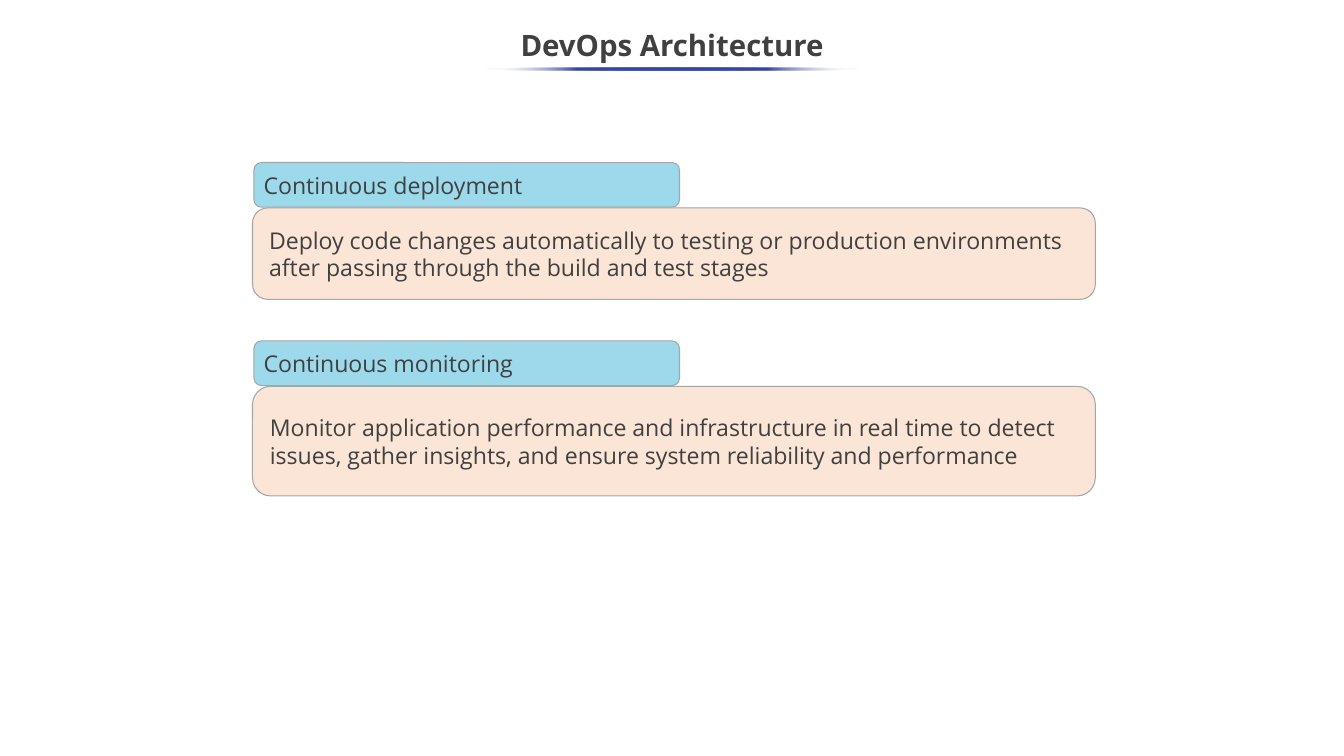
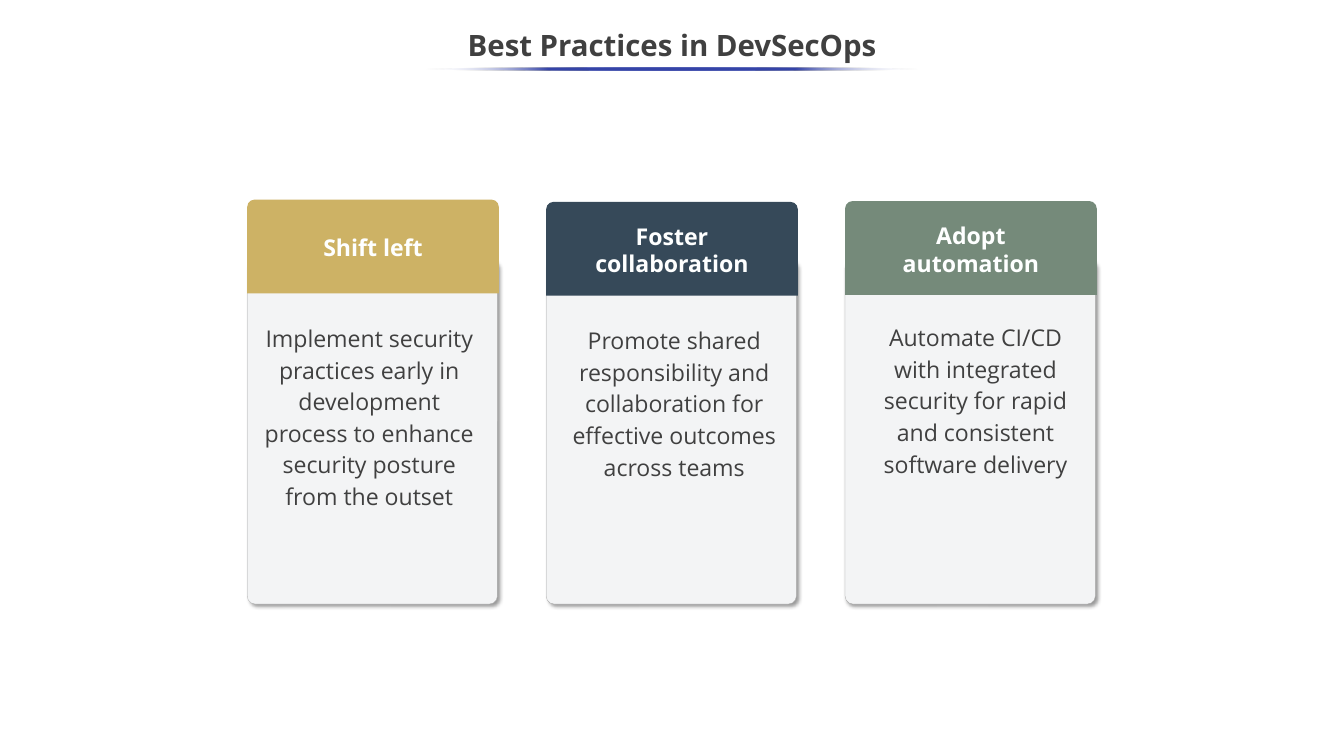
from lxml.etree import SubElement
from pptx import Presentation
from pptx.dml.color import RGBColor
from pptx.enum.shapes import MSO_SHAPE
from pptx.enum.text import MSO_ANCHOR, PP_ALIGN
from pptx.oxml.ns import qn
from pptx.util import Inches, Pt

COLORS = {
    "text": "404040", "light": "FEFFFF", "white": "FFFFFF", "rule": "3645A9",
    "border": "A6A6A6", "tab": "9CDAEB", "panel": "FBE5D6", "card": "F3F4F5",
    "gold": "CDB265", "navy": "364959", "sage": "758A7A", "shadow": "000000",
}
FONT = "Open Sans"
SLIDE_WIDTH, SLIDE_HEIGHT = 17.78, 10

STAGES = [
    (2.15, 1.21, "Continuous deployment",
     ["Deploy code changes automatically to testing or production environments",
      "after passing through the build and test stages"]),
    (4.51, 1.45, "Continuous monitoring",
     ["Monitor application performance and infrastructure in real time to detect",
      "issues, gather insights, and ensure system reliability and performance"]),
]
PRACTICES = [
    ("gold", 2.64, ["Shift left"], 0.03, 4.19,
     "Implement security practices early in development process "
     "to enhance security posture from the outset"),
    ("navy", 2.67, ["Foster", "collaboration"], 0.11, 4.22,
     "Promote shared responsibility and collaboration for effective outcomes across teams"),
    ("sage", 2.66, ["Adopt", "automation"], 0.14, 4.18,
     "Automate CI/CD with integrated security for rapid and consistent software delivery"),
]


def color(name):
    """Return the named palette colour."""
    return RGBColor.from_string(COLORS[name])


def write(box, lines, size=22, ink="text", bold=False, align=PP_ALIGN.LEFT,
          anchor=MSO_ANCHOR.MIDDLE, spacing=None, margins=(0.1, 0.05, 0.1, 0.05)):
    """Fill a box with one paragraph for each line."""
    frame = box.text_frame
    frame.word_wrap = True
    frame.vertical_anchor = anchor
    (frame.margin_left, frame.margin_top,
     frame.margin_right, frame.margin_bottom) = map(Inches, margins)
    for index, line in enumerate(lines):
        para = frame.add_paragraph() if index else frame.paragraphs[0]
        para.alignment = align
        para.line_spacing = spacing
        span = para.add_run()
        span.text = line
        span.font.name, span.font.size, span.font.bold = FONT, Pt(size), bold
        span.font.color.rgb = color(ink)


def add_box(page, left, top, width, height):
    """Add an empty text box."""
    return page.shapes.add_textbox(*map(Inches, (left, top, width, height)))


def add_form(page, kind, left, top, width, height, fill, line_width=0, corner=None):
    """Add a flat preset shape with an optional border."""
    form = page.shapes.add_shape(kind, *map(Inches, (left, top, width, height)))
    form.shadow.inherit = False
    form.fill.solid()
    form.fill.fore_color.rgb = color(fill)
    if line_width:
        form.line.color.rgb = color("border")
        form.line.width = Pt(line_width)
    else:
        form.line.fill.background()
    if corner is not None:
        form.adjustments[0] = corner
    return form


def add_color(parent, name, alpha):
    """Add a colour element with its opacity in percent."""
    tint = SubElement(parent, qn("a:srgbClr"), val=COLORS[name])
    SubElement(tint, qn("a:alpha"), val=str(alpha * 1000))


def fade_ends(form):
    """Give a shape a fill that fades out at both ends."""
    form.fill.gradient()
    form.fill.gradient_angle = 0
    stops = form._element.spPr.find(qn("a:gradFill")).find(qn("a:gsLst"))
    for stop in list(stops):
        stops.remove(stop)
    for position in (0, 25, 50, 75, 100):
        stop = SubElement(stops, qn("a:gs"), pos=str(position * 1000))
        if position in (0, 100):
            add_color(stop, "white", 0)
        else:
            add_color(stop, "rule", 100)


def drop_shadow(form):
    """Cast a soft shadow down and to the right."""
    effects = form._element.spPr.find(qn("a:effectLst"))
    shadow = SubElement(effects, qn("a:outerShdw"), blurRad=str(Pt(4)), dist=str(Pt(3)),
                        dir=str(45 * 60000), algn="tl", rotWithShape="0")
    add_color(shadow, "shadow", 40)


def add_page(deck, title, rule_width):
    """Add a slide with a centred title and its underline."""
    page = deck.slides.add_slide(deck.slide_layouts[6])
    write(add_box(page, 0, 0.25, SLIDE_WIDTH, 0.75), [title], size=28, bold=True,
          align=PP_ALIGN.CENTER, spacing=0.9)
    rule_left = (SLIDE_WIDTH - rule_width) / 2
    fade_ends(add_form(page, MSO_SHAPE.OVAL, rule_left, 0.89, rule_width, 0.04, "rule"))
    return page


def add_stage(page, left, top, panel_height, name, lines):
    """Add a panel with its name tab on top."""
    tab_height = 0.59
    panel = add_form(page, MSO_SHAPE.ROUNDED_RECTANGLE, left, top + tab_height + 0.01,
                     11.15, panel_height, "panel", 1)
    write(panel, lines, margins=(0.16, 0.1, 0, 0.1))
    tab = add_form(page, MSO_SHAPE.ROUNDED_RECTANGLE, left + 0.02, top,
                   5.63, tab_height, "tab", 1)
    write(tab, [name])


def add_practice(page, left, fill, head_top, heading, text_shift, text_top, text):
    """Add a card with a coloured head and centred text."""
    drop_shadow(add_form(page, MSO_SHAPE.ROUNDED_RECTANGLE, left, 3.44, 3.31, 4.55,
                         "card", 0.25, corner=0.032))
    head = add_form(page, MSO_SHAPE.ROUND_2_SAME_RECTANGLE, left, head_top, 3.33, 1.24,
                    fill, corner=0.08)
    write(head, heading, ink="light", bold=True, align=PP_ALIGN.CENTER, margins=(0.04,) * 4)
    write(add_box(page, left + text_shift, text_top, 3.17, 2.61), [text],
          align=PP_ALIGN.CENTER, anchor=MSO_ANCHOR.TOP, spacing=1.14)


def architecture_page(deck):
    """Build the slide of pipeline stages."""
    page = add_page(deck, "DevOps Architecture", 5.01)
    for stage in STAGES:
        add_stage(page, 3.34, *stage)


def practices_page(deck):
    """Build the slide of practice cards."""
    page = add_page(deck, "Best Practices in DevSecOps", 6.51)
    for index, practice in enumerate(PRACTICES):
        add_practice(page, 3.27 + index * 3.955, *practice)


def main():
    """Build and save the deck."""
    deck = Presentation()
    deck.slide_width, deck.slide_height = Inches(SLIDE_WIDTH), Inches(SLIDE_HEIGHT)
    architecture_page(deck)
    practices_page(deck)
    deck.save("out.pptx")


if __name__ == "__main__":
    main()
